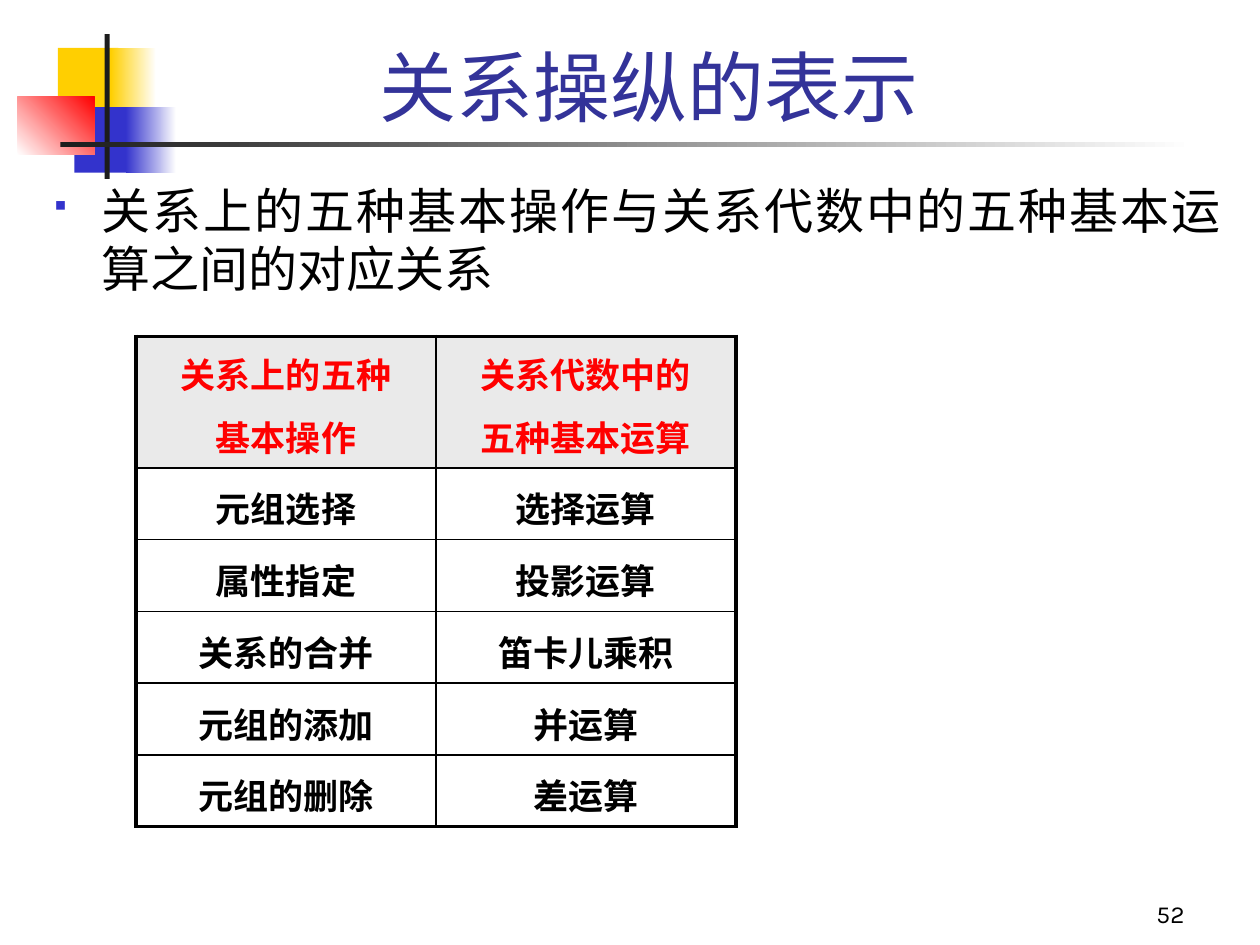
from lxml import etree
from pptx import Presentation
from pptx.dml.color import RGBColor
from pptx.enum.shapes import MSO_SHAPE
from pptx.enum.text import MSO_ANCHOR, MSO_AUTO_SIZE, PP_ALIGN
from pptx.oxml.ns import qn
from pptx.util import Inches, Pt

RECTANGLE = MSO_SHAPE.RECTANGLE
MIDDLE, BOTTOM, TOP = MSO_ANCHOR.MIDDLE, MSO_ANCHOR.BOTTOM, MSO_ANCHOR.TOP
CENTER, RIGHT, JUSTIFY = PP_ALIGN.CENTER, PP_ALIGN.RIGHT, PP_ALIGN.JUSTIFY
NO_AUTOFIT = MSO_AUTO_SIZE.NONE

COLORS = {
    "yellow": "FFCF01", "blue": "3333CC", "red": "FF0000", "ink": "1C1C1C",
    "white": "FFFFFF", "black": "000000", "title": "333399", "header": "EAEAEA",
}
CJK, SERIF, NUMERAL = "Noto Sans CJK SC", "Times New Roman", "Karla"

TITLE = "关系操纵的表示"
STATEMENT = "关系上的五种基本操作与关系代数中的五种基本运算之间的对应关系"
PAGE_NUMBER = "52"
CORRESPONDENCE = [
    (["关系上的五种", "基本操作"], ["关系代数中的", "五种基本运算"]),
    (["元组选择"], ["选择运算"]),
    (["属性指定"], ["投影运算"]),
    (["关系的合并"], ["笛卡儿乘积"]),
    (["元组的添加"], ["并运算"]),
    (["元组的删除"], ["差运算"]),
]
# left, top, width, height, start colour, end colour, angle
ORNAMENTS = [
    (0.46, 0.38, 0.48, 0.52, "yellow", None, 0),
    (0.88, 0.38, 0.36, 0.52, "yellow", "white", 0),
    (0.59, 0.85, 0.46, 0.52, "blue", None, 0),
    (1, 0.85, 0.4, 0.52, "blue", "white", 0),
    (0.14, 0.77, 0.61, 0.46, "white", "red", 45),
    (0.83, 0.27, 0.04, 1.15, "ink", None, 0),
    (0.48, 1.13, 9, 0.04, "ink", "white", 0),
]
HEADER_HEIGHT, ROW_HEIGHT, COLUMN_WIDTH = 0.9, 0.57, 2.38
HEADER_MARGIN, ROW_MARGIN = 0.05, 0.07
OUTER_LINE, INNER_LINE = 2.25, 1


def rgb(name):
    return RGBColor.from_string(COLORS[name])


def add_text(paragraph, text, size, font, color, align, bold=False):
    paragraph.alignment = align
    run = paragraph.add_run()
    run.text = text
    run.font.size, run.font.name, run.font.bold = Pt(size), font, bold
    run.font.color.rgb = rgb(color)
    if font == CJK:
        etree.SubElement(run._r.get_or_add_rPr(), qn("a:ea"), typeface=font)


def add_ornament(slide, left, top, width, height, start, end, angle):
    ornament = slide.shapes.add_shape(
        RECTANGLE, Inches(left), Inches(top), Inches(width), Inches(height))
    ornament.shadow.inherit = False
    ornament.line.fill.background()
    if end is None:
        ornament.fill.solid()
        ornament.fill.fore_color.rgb = rgb(start)
        return
    ornament.fill.gradient()
    ornament.fill.gradient_angle = angle
    for stop, color in zip(ornament.fill.gradient_stops, (start, end)):
        stop.color.rgb = rgb(color)


def place(shape, left, top, width, height, anchor):
    shape.left, shape.top = Inches(left), Inches(top)
    shape.width, shape.height = Inches(width), Inches(height)
    frame = shape.text_frame
    frame.word_wrap, frame.auto_size = True, NO_AUTOFIT
    frame.vertical_anchor = anchor
    return frame


def add_bullet(paragraph):
    properties = paragraph._p.get_or_add_pPr()
    properties.set("marL", str(Inches(0.38)))
    properties.set("indent", str(Inches(-0.38)))
    bullet_color = etree.SubElement(properties, qn("a:buClr"))
    etree.SubElement(bullet_color, qn("a:srgbClr"), val=COLORS["blue"])
    etree.SubElement(properties, qn("a:buSzPct"), val="60000")
    etree.SubElement(properties, qn("a:buFont"), typeface="Wingdings", charset="2")
    etree.SubElement(properties, qn("a:buChar"), char="§")


def set_borders(cell, outer_sides):
    properties = cell._tc.get_or_add_tcPr()
    for side in "LRTB":
        width = OUTER_LINE if side in outer_sides else INNER_LINE
        border = etree.SubElement(properties, qn("a:ln" + side), w=str(Pt(width)))
        fill = etree.SubElement(border, qn("a:solidFill"))
        etree.SubElement(fill, qn("a:srgbClr"), val=COLORS["black"])


def add_correspondence(slide):
    row_count, column_count = len(CORRESPONDENCE), len(CORRESPONDENCE[0])
    table = slide.shapes.add_table(
        row_count, column_count, Inches(1.08), Inches(2.67),
        Inches(COLUMN_WIDTH * column_count),
        Inches(HEADER_HEIGHT + ROW_HEIGHT * (row_count - 1))).table
    table.first_row = table.horz_banding = False
    for column in table.columns:
        column.width = Inches(COLUMN_WIDTH)
    for r, entries in enumerate(CORRESPONDENCE):
        table.rows[r].height = Inches(ROW_HEIGHT if r else HEADER_HEIGHT)
        for c, lines in enumerate(entries):
            cell = table.cell(r, c)
            edges = {"L": c == 0, "R": c == column_count - 1,
                     "T": r == 0, "B": r == row_count - 1}
            set_borders(cell, [side for side, outer in edges.items() if outer])
            cell.fill.solid()
            cell.fill.fore_color.rgb = rgb("white" if r else "header")
            cell.vertical_anchor = MIDDLE
            cell.margin_top = Inches(ROW_MARGIN if r else HEADER_MARGIN)
            for i, line in enumerate(lines):
                frame = cell.text_frame
                paragraph = frame.add_paragraph() if i else frame.paragraphs[0]
                paragraph.line_spacing = 1.1
                paragraph.space_before = Pt(4 if i else 0)
                add_text(paragraph, line, 20, SERIF, "black" if r else "red", CENTER, True)


def main():
    """Build the slide on relational operations and save it."""
    deck = Presentation()
    deck.slide_width, deck.slide_height = Inches(10), Inches(7.5)
    slide = deck.slides.add_slide(deck.slide_layouts[5])
    for ornament in ORNAMENTS:
        add_ornament(slide, *ornament)

    heading = place(slide.shapes.title, 0.75, 0.25, 8.52, 0.86, MIDDLE)
    heading.margin_left = Inches(0.38)
    add_text(heading.paragraphs[0], TITLE, 44, CJK, "title", CENTER)

    statement_box = slide.shapes.add_textbox(0, 0, 0, 0)
    statement = place(statement_box, 0.33, 1.38, 9.46, 5.92, TOP).paragraphs[0]
    add_bullet(statement)
    add_text(statement, STATEMENT, 28, CJK, "black", JUSTIFY)

    add_correspondence(slide)

    number_box = slide.shapes.add_textbox(0, 0, 0, 0)
    number = place(number_box, 7.42, 6.92, 2.08, 0.5, BOTTOM).paragraphs[0]
    add_text(number, PAGE_NUMBER, 14, NUMERAL, "black", RIGHT)

    deck.save("out.pptx")


if __name__ == "__main__":
    main()
